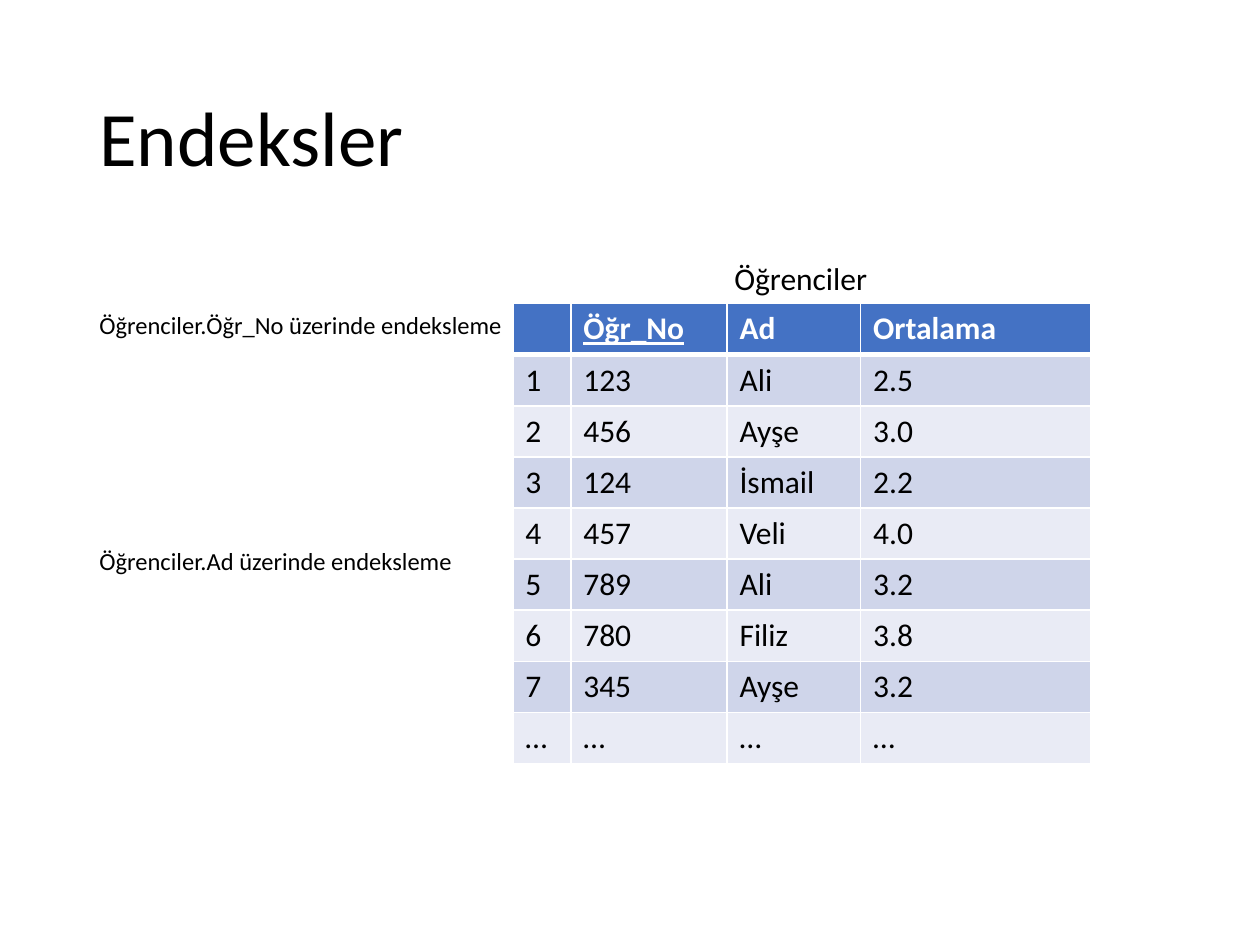
"""Build the slide on indexes over a student table."""
from dataclasses import dataclass

from lxml import etree
from pptx import Presentation
from pptx import util as u
from pptx.dml.color import RGBColor
from pptx.enum import text
from pptx.oxml import ns


@dataclass(frozen=True)
class Theme:
    font: str = "Calibri"
    title: int = 44
    body: int = 18
    note: int = 14
    ink: str = "000000"
    paper: str = "FFFFFF"
    header: str = "4472C4"
    bands: tuple[str, str] = ("CFD5EA", "E9EBF5")
    rule: int = 1
    header_rule: int = 3


@dataclass(frozen=True)
class Label:
    lines: tuple[str, ...]
    left: float
    top: float
    width: float
    height: float
    size: int
    wrap: bool = False
    anchor: text.MSO_ANCHOR = text.MSO_ANCHOR.TOP
    spacing: float = 1.0
    gap: int = 0


THEME = Theme()
LABELS = (
    Label(("Endeksler",), 0.69, 0.4, 8.62, 1.45, THEME.title,
          wrap=True, anchor=text.MSO_ANCHOR.MIDDLE, spacing=0.9),
    Label(("Öğrenciler",), 5.73, 2.01, 1.27, 0.4, THEME.body),
    Label(("Öğrenciler.Öğr_No üzerinde endeksleme", "Öğrenciler.Ad üzerinde endeksleme"),
          0.69, 2.41, 3.42, 2.22, THEME.note, gap=118),
)
HEADINGS = ("", "Öğr_No", "Ad", "Ortalama")
KEY = "Öğr_No"
STUDENTS = (
    ("123", "Ali", "2.5"),
    ("456", "Ayşe", "3.0"),
    ("124", "İsmail", "2.2"),
    ("457", "Veli", "4.0"),
    ("789", "Ali", "3.2"),
    ("780", "Filiz", "3.8"),
    ("345", "Ayşe", "3.2"),
)
WIDTHS = (0.46, 1.24, 1.06, 1.83)
TABLE_LEFT, TABLE_TOP, TABLE_HEIGHT = 4.07, 2.41, 3.65


def add_span(para, words: str, size: int, color: str, bold: bool = False, underline: bool = False) -> None:
    span = para.add_run()
    span.text = words
    font = span.font
    font.name, font.size, font.bold, font.underline = THEME.font, u.Pt(size), bold, underline
    font.color.rgb = RGBColor.from_string(color)


def add_label(page, label: Label) -> None:
    box = page.shapes.add_textbox(*map(u.Inches, (label.left, label.top, label.width, label.height)))
    frame = box.text_frame
    frame.word_wrap = label.wrap
    frame.vertical_anchor = label.anchor
    for index, line in enumerate(label.lines):
        para = frame.add_paragraph() if index else frame.paragraphs[0]
        para.line_spacing = label.spacing
        para.space_before = u.Pt(label.gap if index else 0)
        add_span(para, line, label.size, THEME.ink)


def set_borders(cell, top: int, bottom: int) -> None:
    properties = cell._tc.get_or_add_tcPr()
    sides = (("lnL", THEME.rule), ("lnR", THEME.rule), ("lnT", top), ("lnB", bottom))
    for position, (side, width) in enumerate(sides):
        line = etree.Element(ns.qn(f"a:{side}"), w=str(u.Pt(width)))
        fill = etree.SubElement(line, ns.qn("a:solidFill"))
        etree.SubElement(fill, ns.qn("a:srgbClr"), val=THEME.paper)
        properties.insert(position, line)


def add_students(page) -> None:
    numbered = tuple((str(number), *student) for number, student in enumerate(STUDENTS, 1))
    rows = (HEADINGS, *numbered, ("…",) * len(HEADINGS))
    table = page.shapes.add_table(
        len(rows), len(WIDTHS), u.Inches(TABLE_LEFT), u.Inches(TABLE_TOP),
        u.Inches(sum(WIDTHS)), u.Inches(TABLE_HEIGHT)).table
    for column, width in zip(table.columns, WIDTHS):
        column.width = u.Inches(width)
    for index, values in enumerate(rows):
        is_header = index == 0
        color = THEME.paper if is_header else THEME.ink
        shade = THEME.header if is_header else THEME.bands[(index - 1) % 2]
        top = THEME.header_rule if index == 1 else THEME.rule
        bottom = THEME.header_rule if is_header else THEME.rule
        for cell, value in zip(table.rows[index].cells, values):
            cell.fill.solid()
            cell.fill.fore_color.rgb = RGBColor.from_string(shade)
            set_borders(cell, top, bottom)
            if value:
                add_span(cell.text_frame.paragraphs[0], value, THEME.body, color,
                         bold=is_header, underline=value == KEY)


def main() -> None:
    deck = Presentation()
    deck.slide_width, deck.slide_height = u.Inches(10), u.Inches(7.5)
    page = deck.slides.add_slide(deck.slide_layouts[6])
    title, *captions = LABELS
    add_label(page, title)
    add_students(page)
    for caption in captions:
        add_label(page, caption)
    deck.save("out.pptx")


if __name__ == "__main__":
    main()
